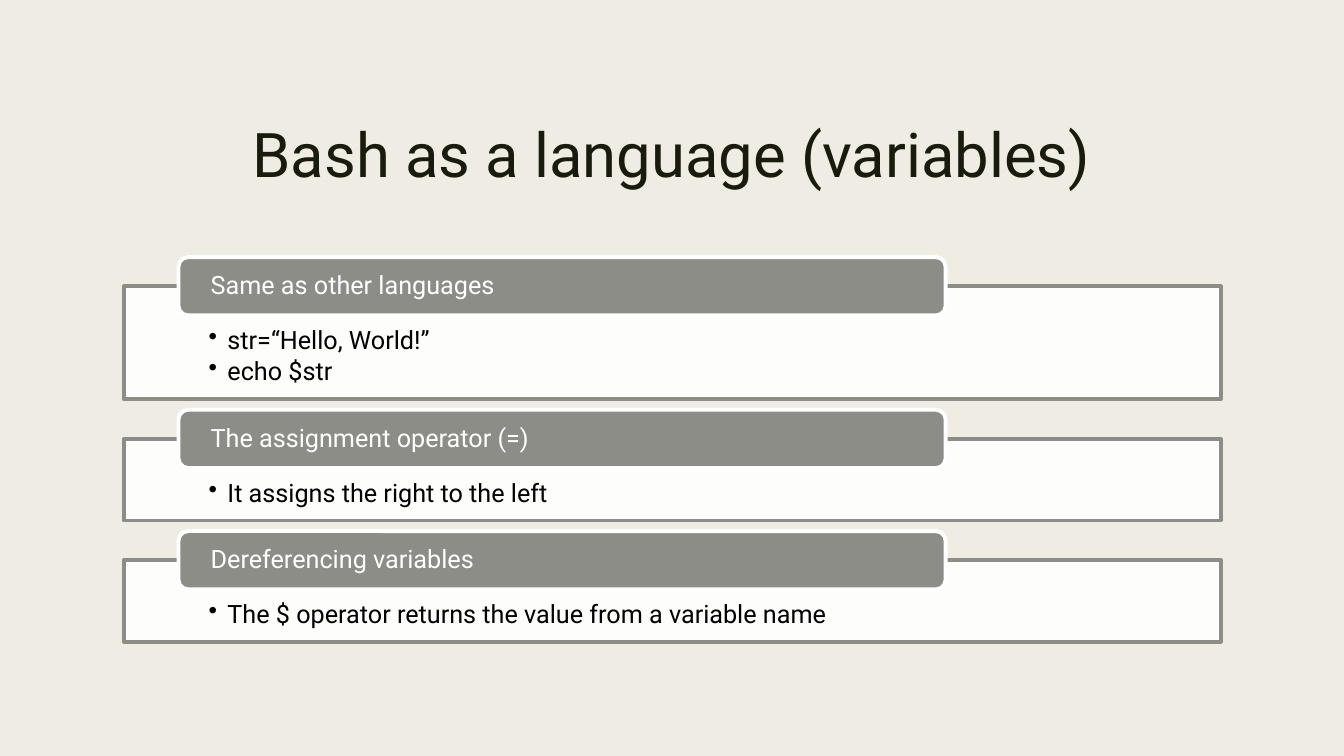
from pptx import Presentation
from pptx.dml.color import RGBColor
from pptx.enum.shapes import MSO_SHAPE
from pptx.enum.text import MSO_ANCHOR, PP_ALIGN
from pptx.oxml.ns import qn
from pptx.util import Pt
from lxml import etree

RECT, ROUNDED = MSO_SHAPE.RECTANGLE, MSO_SHAPE.ROUNDED_RECTANGLE
TOP, MIDDLE = MSO_ANCHOR.TOP, MSO_ANCHOR.MIDDLE
LEFT, CENTER = PP_ALIGN.LEFT, PP_ALIGN.CENTER

FONT = "Roboto"
CREAM, INK, GRAY, WHITE, BLACK = "EFEDE3", "191B0E", "8C8D86", "FFFFFF", "000000"
PANEL_LEFT, PANEL_WIDTH, FIRST_TOP, PANEL_GAP = 88.5, 783.5, 204.5, 28.4
LABEL_LEFT, LABEL_WIDTH, LABEL_HEIGHT = 127.5, 548, 41.6
PANEL_BASE, LINE_STEP = 36, 22.3

SECTIONS = [
    ("Same as other languages", ["str=“Hello, World!”", "echo $str"]),
    ("The assignment operator (=)", ["It assigns the right to the left"]),
    ("Dereferencing variables",
     ["The $ operator returns the value from a variable name"]),
]


def rgb(color):
    return RGBColor.from_string(color)


def style(p, size, color, align):
    p.alignment = align
    p.line_spacing = 0.9
    p.font.name = FONT
    p.font.size = Pt(size)
    p.font.color.rgb = rgb(color)


def add_title(slide, text):
    s = slide.shapes.title
    s.left, s.top, s.width, s.height = Pt(50.5), Pt(54), Pt(859), Pt(116.5)
    tf = s.text_frame
    tf.text = text
    tf.vertical_anchor = MIDDLE
    style(tf.paragraphs[0], 44, INK, CENTER)


def add_box(slide, kind, left, top, width, height, fill, line):
    s = slide.shapes.add_shape(kind, Pt(left), Pt(top), Pt(width), Pt(height))
    s.shadow.inherit = False
    s.fill.solid()
    s.fill.fore_color.rgb = rgb(fill)
    s.line.color.rgb = rgb(line)
    s.line.width = Pt(2.75)
    return s


def set_frame(s, anchor, side, top, bottom):
    tf = s.text_frame
    tf.word_wrap = True
    tf.vertical_anchor = anchor
    tf.margin_left = tf.margin_right = Pt(side)
    tf.margin_top, tf.margin_bottom = Pt(top), Pt(bottom)
    return tf


def set_opacity(s, percent):
    color = s.fill._xPr.find(qn("a:solidFill"))[0]
    etree.SubElement(color, qn("a:alpha")).set("val", str(percent * 1000))


def add_bullet(p):
    pPr = p._p.get_or_add_pPr()
    pPr.set("marL", str(Pt(13.5)))
    pPr.set("indent", str(Pt(-13.5)))
    bullet = etree.Element(qn("a:buChar"), char="•")
    pPr.find(qn("a:spcAft")).addnext(bullet)


def add_panel(slide, top, height, items):
    s = add_box(slide, RECT, PANEL_LEFT, top, PANEL_WIDTH, height, WHITE, GRAY)
    set_opacity(s, 90)
    tf = set_frame(s, TOP, 60.5, 29.5, 10)
    for i, item in enumerate(items):
        p = tf.add_paragraph() if i else tf.paragraphs[0]
        p.text = item
        style(p, 18, BLACK, LEFT)
        p.space_after = Pt(2.7)
        add_bullet(p)


def add_label(slide, top, text):
    s = add_box(slide, ROUNDED, LABEL_LEFT, top, LABEL_WIDTH, LABEL_HEIGHT,
                GRAY, WHITE)
    tf = set_frame(s, MIDDLE, 21, 0, 0)
    tf.text = text
    style(tf.paragraphs[0], 18, WHITE, LEFT)


def main():
    prs = Presentation()
    prs.slide_width, prs.slide_height = Pt(960), Pt(540)
    slide = prs.slides.add_slide(prs.slide_layouts[5])
    slide.background.fill.solid()
    slide.background.fill.fore_color.rgb = rgb(CREAM)
    add_title(slide, "Bash as a language (variables)")
    top = FIRST_TOP
    for heading, items in SECTIONS:
        height = PANEL_BASE + LINE_STEP * len(items)
        add_panel(slide, top, height, items)
        add_label(slide, top - LABEL_HEIGHT / 2, heading)
        top += height + PANEL_GAP
    prs.save("out.pptx")


if __name__ == "__main__":
    main()
